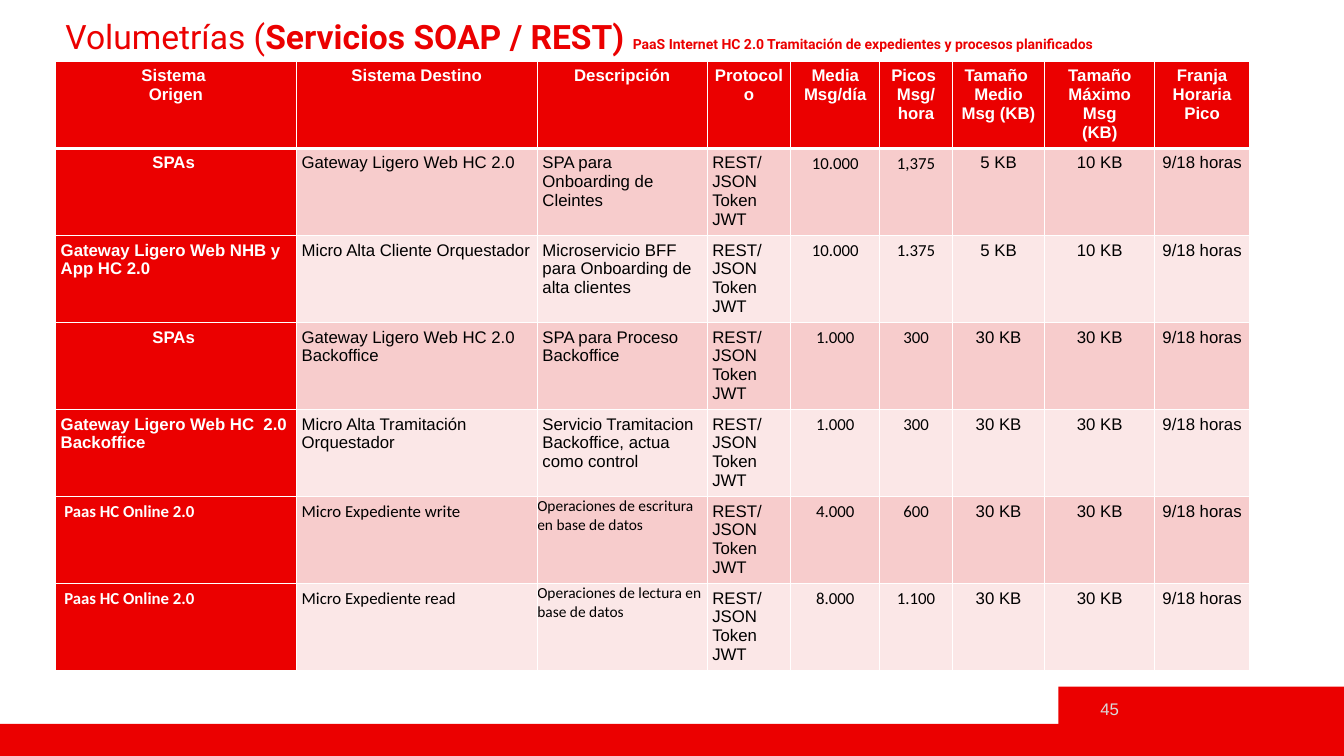
import dataclasses
import typing

import pptx
import pptx.dml.color
import pptx.enum.shapes
import pptx.enum.text
import pptx.oxml.ns
import pptx.util
from lxml import etree

Cm = pptx.util.Cm
Pt = pptx.util.Pt
RGB = pptx.dml.color.RGBColor.from_string
LEFT, CENTER, RIGHT = (pptx.enum.text.PP_ALIGN.LEFT, pptx.enum.text.PP_ALIGN.CENTER,
                       pptx.enum.text.PP_ALIGN.RIGHT)


@dataclasses.dataclass(frozen=True)
class Theme:
    red: str = "EB0000"
    white: str = "FFFFFF"
    black: str = "000000"
    grey: str = "D9D9D9"
    bands: tuple[str, str] = ("F7CCCC", "FBE7E7")
    title: int = 24
    body: int = 12
    small: int = 11
    subtitle: int = 10
    sans: str = "Arial"
    alt: str = "Calibri"
    heading: str = "Roboto"


@dataclasses.dataclass(frozen=True)
class Service:
    source: str
    target: str
    description: str
    daily: str
    hourly: str
    mean_size: str
    max_size: str
    paas: bool = False  # rows of the PaaS system use the alternative font


@dataclasses.dataclass(frozen=True)
class Column:
    heading: str
    width: float


T = Theme()
INSET = 0.13
BOTTOM_INSET = 0.03  # leaves room for four lines within the row height
ROW_HEIGHT = 2.14
SPAS = "SPAs "
PROTOCOL = "REST/JSON\nToken JWT"
PEAK = "9/18 horas"

COLUMNS = [
    Column("Sistema \nOrigen", 6.07),
    Column("Sistema Destino", 6.07),
    Column("Descripción", 4.28),
    Column("Protocolo", 2.11),
    Column("Media Msg/día", 2.24),
    Column("Picos \nMsg/hora", 1.83),
    Column("Tamaño \nMedio Msg (KB)", 2.33),
    Column("Tamaño Máximo Msg\n(KB)", 2.77),
    Column("Franja Horaria Pico", 2.39),
]

SERVICES = [
    Service(SPAS, "Gateway Ligero Web HC 2.0", "SPA para Onboarding de Cleintes",
            "10.000", "1,375", "5 KB", "10 KB"),
    Service("Gateway Ligero Web NHB y App HC 2.0", "Micro Alta Cliente Orquestador",
            "Microservicio BFF para Onboarding de alta clientes",
            "10.000", "1.375", "5 KB", "10 KB"),
    Service(SPAS, "Gateway Ligero Web HC 2.0 Backoffice", "SPA para Proceso Backoffice",
            "1.000", "300", "30 KB", "30 KB"),
    Service("Gateway Ligero Web HC  2.0 Backoffice", "Micro Alta Tramitación Orquestador",
            "Servicio Tramitacion Backoffice, actua como control",
            "1.000", "300", "30 KB", "30 KB"),
    Service("Paas HC Online 2.0", "Micro Expediente write",
            "Operaciones de escritura en base de datos",
            "4.000", "600", "30 KB", "30 KB", paas=True),
    Service("Paas HC Online 2.0", "Micro Expediente read",
            "Operaciones de lectura en base de datos",
            "8.000", "1.100", "30 KB", "30 KB", paas=True),
]


def add_text(p: typing.Any, text: str, *, size: int = T.body, font: str = T.sans,
             color: str = T.black, bold: bool = False, align: typing.Any = LEFT) -> None:
    """Append one formatted run to a paragraph."""
    p.alignment = align
    r = p.add_run()
    r.text = text
    r.font.size = Pt(size)
    r.font.name = font
    r.font.bold = bold
    r.font.color.rgb = RGB(color)


def add_bar(s: typing.Any, x: float, y: float, w: float, h: float) -> None:
    sp = s.shapes.add_shape(pptx.enum.shapes.MSO_SHAPE.RECTANGLE, Cm(x), Cm(y), Cm(w), Cm(h))
    sp.shadow.inherit = False
    sp.fill.solid()
    sp.fill.fore_color.rgb = RGB(T.red)
    sp.line.fill.background()


def add_box(s: typing.Any, x: float, y: float, w: float, h: float) -> typing.Any:
    tf = s.shapes.add_textbox(Cm(x), Cm(y), Cm(w), Cm(h)).text_frame
    tf.word_wrap = True
    return tf


def set_borders(cell: typing.Any, top: int = 1, bottom: int = 1) -> None:
    tc_pr = cell._tc.get_or_add_tcPr()
    for side, width in (("L", 1), ("R", 1), ("T", top), ("B", bottom)):
        ln = etree.SubElement(tc_pr, pptx.oxml.ns.qn(f"a:ln{side}"), w=str(Pt(width)))
        fill = etree.SubElement(ln, pptx.oxml.ns.qn("a:solidFill"))
        etree.SubElement(fill, pptx.oxml.ns.qn("a:srgbClr"), val=T.white)


def fill_cell(cell: typing.Any, text: str, fill: str, *, inset: float = INSET,
              left: float | None = None, top: int = 1, bottom: int = 1,
              **fmt: typing.Any) -> None:
    set_borders(cell, top, bottom)
    cell.fill.solid()
    cell.fill.fore_color.rgb = RGB(fill)
    cell.margin_left = Cm(inset if left is None else left)
    cell.margin_right = cell.margin_top = Cm(inset)
    cell.margin_bottom = Cm(BOTTOM_INSET)
    tf = cell.text_frame
    for i, line in enumerate(text.split("\n")):
        p = tf.add_paragraph() if i else tf.paragraphs[0]
        add_text(p, line, **fmt)


def add_service(table: typing.Any, row: int, sv: Service) -> None:
    band = T.bands[(row - 1) % 2]
    font = T.alt if sv.paas else T.sans
    top = 3 if row == 1 else 1
    fill_cell(table.cell(row, 0), sv.source, T.red, top=top, font=font, color=T.white,
              bold=True, left=0.22 if sv.paas else INSET,
              align=CENTER if sv.source == SPAS else LEFT)
    fill_cell(table.cell(row, 1), sv.target, band, top=top, font=font)
    fill_cell(table.cell(row, 2), sv.description, band, top=top, font=font,
              inset=0 if sv.paas else INSET, size=T.small if sv.paas else T.body)
    fill_cell(table.cell(row, 3), PROTOCOL, band, top=top)
    figures = [(sv.daily, T.alt), (sv.hourly, T.alt), (sv.mean_size, T.sans),
               (sv.max_size, T.sans), (PEAK, T.sans)]
    for col, (text, face) in enumerate(figures, start=4):
        fill_cell(table.cell(row, col), text, band, top=top, font=face, align=CENTER)


def add_volumes_table(s: typing.Any) -> None:
    n_rows = len(SERVICES) + 1
    table = s.shapes.add_table(n_rows, len(COLUMNS), Cm(1.4), Cm(1.55),
                               Cm(sum(c.width for c in COLUMNS)),
                               Cm(n_rows * ROW_HEIGHT)).table
    table.first_row = table.horz_banding = False
    for row in table.rows:
        row.height = Cm(ROW_HEIGHT)
    for i, column in enumerate(COLUMNS):
        table.columns[i].width = Cm(column.width)
        fill_cell(table.cell(0, i), column.heading, T.red, bottom=3,
                  color=T.white, bold=True, align=CENTER)
    for row, sv in enumerate(SERVICES, start=1):
        add_service(table, row, sv)


def main() -> None:
    prs = pptx.Presentation()
    prs.slide_width, prs.slide_height = Cm(33.87), Cm(19.05)
    s = prs.slides.add_slide(prs.slide_layouts[6])

    # Footer bars and page number
    add_bar(s, 0, 18.24, 33.87, 0.81)
    add_bar(s, 26.67, 17.3, 7.2, 0.94)
    tf = add_box(s, 26.67, 17.35, 1.78, 1.02)
    tf.vertical_anchor = pptx.enum.text.MSO_ANCHOR.MIDDLE
    add_text(tf.paragraphs[0], "45", color=T.grey, align=RIGHT)

    # Title
    p = add_box(s, 1.4, 0.38, 30.1, 0.89).paragraphs[0]
    p.line_spacing = 0.9
    for text, size, bold in (
        ("Volumetrías (", T.title, False),
        ("Servicios SOAP / REST) ", T.title, True),
        ("PaaS Internet HC 2.0 Tramitación de expedientes y procesos planificados",
         T.subtitle, True),
    ):
        add_text(p, text, size=size, font=T.heading, color=T.red, bold=bold)

    # Table of message volumes
    add_volumes_table(s)
    prs.save("out.pptx")


if __name__ == "__main__":
    main()
